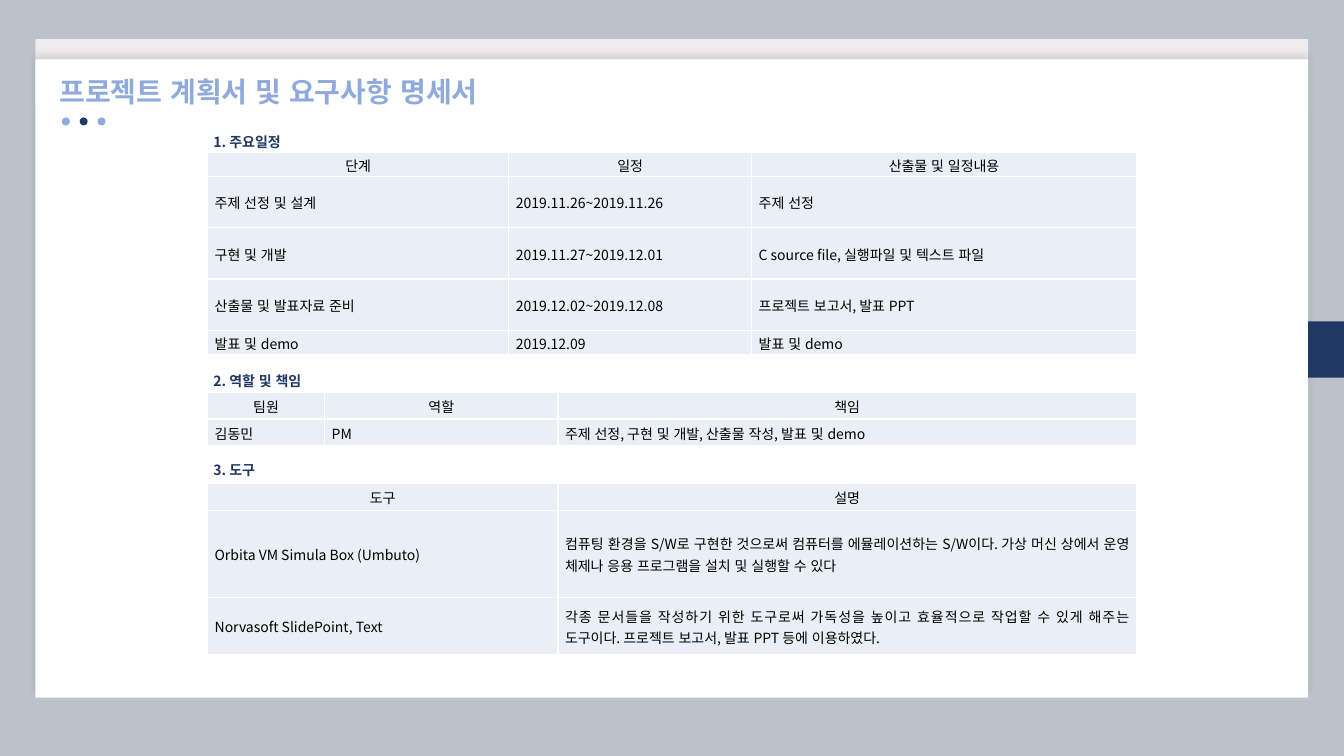
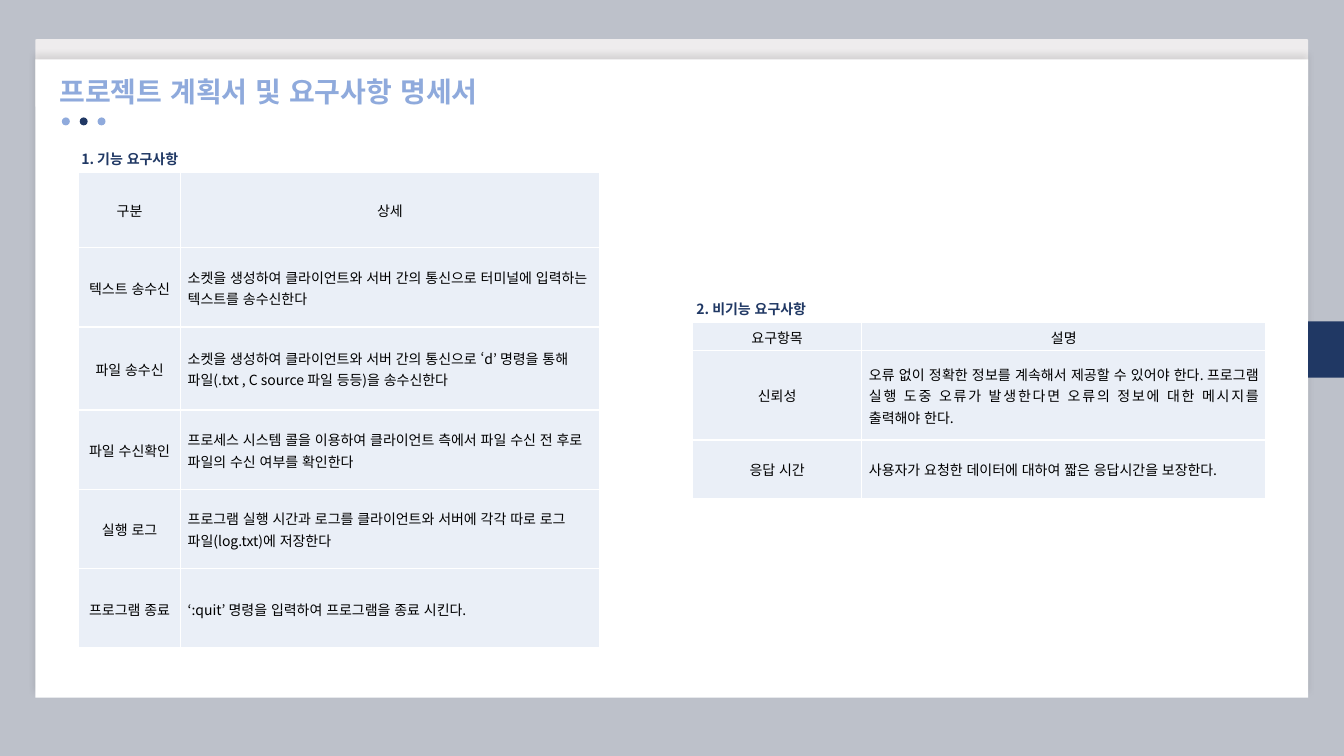
from dataclasses import dataclass

from lxml import etree
from pptx import Presentation
from pptx.dml.color import RGBColor
from pptx.enum.lang import MSO_LANGUAGE_ID
from pptx.enum.shapes import MSO_SHAPE
from pptx.enum.text import MSO_ANCHOR, MSO_AUTO_SIZE, PP_ALIGN
from pptx.oxml.ns import qn
from pptx.util import Cm, Pt

RECT, ROUND, OVAL = MSO_SHAPE.RECTANGLE, MSO_SHAPE.ROUNDED_RECTANGLE, MSO_SHAPE.OVAL
LEFT, MID, JUST = PP_ALIGN.LEFT, PP_ALIGN.CENTER, PP_ALIGN.JUSTIFY
TOP, CENTER = MSO_ANCHOR.TOP, MSO_ANCHOR.MIDDLE
GROW = MSO_AUTO_SIZE.SHAPE_TO_FIT_TEXT
KOREAN = MSO_LANGUAGE_ID.KOREAN
TITLE_ONLY = 5


@dataclass(frozen=True)
class Theme:
    font: str = "Noto Sans CJK KR"
    back: str = "BDC1CA"
    band: str = "EEECED"
    sheet: str = "FFFFFF"
    navy: str = "203864"
    sky: str = "8FAADC"
    cell: str = "EAEFF7"
    ink: str = "000000"
    title: float = 20
    body: float = 10
    line: float = 1.07


THEME = Theme()
TITLE = "프로젝트 계획서 및 요구사항 명세서"


@dataclass(frozen=True)
class Part:
    """A captioned table; all lengths are in centimetres."""
    name: str
    spot: tuple[float, float, float]  # caption left, top, width
    left: float
    top: float
    cols: tuple[float, ...]
    rows: tuple[float, ...]
    align: tuple[PP_ALIGN, ...]  # body text, one per column
    cells: tuple[tuple[str, ...], ...]
    after: float = 0


# Content
PLAN = (
    Part("1. 주요일정", (5.13, 3.23, 2.36), 5.23, 3.83,
         (7.59, 6.12, 9.7), (0.62, 1.29, 1.29, 1.29, 0.61), (JUST,) * 3,
         (("단계", "일정", "산출물 및 일정내용"),
          ("주제 선정 및 설계", "2019.11.26~2019.11.26", "주제 선정"),
          ("구현 및 개발", "2019.11.27~2019.12.01",
           "C source file, 실행파일 및 텍스트 파일"),
          ("산출물 및 발표자료 준비", "2019.12.02~2019.12.08",
           "프로젝트 보고서, 발표 PPT"),
          ("발표 및 demo", "2019.12.09", "발표 및 demo"))),
    Part("2. 역할 및 책임", (5.13, 9.25, 2.97), 5.23, 9.89,
         (2.95, 5.88, 14.58), (0.67, 0.67), (LEFT,) * 3,
         (("팀원", "역할", "책임"),
          ("김동민", "PM", "주제 선정, 구현 및 개발, 산출물 작성, 발표 및 demo"))),
    Part("3. 도구", (5.13, 11.51, 1.65), 5.23, 12.19,
         (8.83, 14.58), (0.67, 2.2, 1.44), (JUST,) * 2,
         (("도구", "설명"),
          ("Orbita VM Simula Box (Umbuto)",
           "컴퓨팅 환경을 S/W로 구현한 것으로써 컴퓨터를 에뮬레이션하는 S/W이다. "
           "가상 머신 상에서 운영 체제나 응용 프로그램을 설치 및 실행할 수 있다"),
          ("Norvasoft SlidePoint, Text",
           "각종 문서들을 작성하기 위한 도구로써 가독성을 높이고 효율적으로 작업할 수 "
           "있게 해주는 도구이다. 프로젝트 보고서, 발표 PPT 등에 이용하였다.")),
         after=8),
)
NEEDS = (
    Part("1. 기능 요구사항", (1.8, 3.66, 3.2), 1.98, 4.34,
         (2.57, 10.55), (1.9, 2, 2.09, 2, 2, 2), (MID, LEFT),
         (("구분", "상세"),
          ("텍스트 송수신",
           "소켓을 생성하여 클라이언트와 서버 간의 통신으로 터미널에 입력하는 "
           "텍스트를 송수신한다"),
          ("파일 송수신",
           "소켓을 생성하여 클라이언트와 서버 간의 통신으로 ‘d’ 명령을 통해 "
           "파일(.txt , C source 파일 등등)을 송수신한다"),
          ("파일 수신확인",
           "프로세스 시스템 콜을 이용하여 클라이언트 측에서 파일 수신 전 후로 "
           "파일의 수신 여부를 확인한다"),
          ("실행 로그",
           "프로그램 실행 시간과 로그를 클라이언트와 서버에 각각 따로 로그 "
           "파일(log.txt)에 저장한다"),
          ("프로그램 종료", "‘:quit’ 명령을 입력하여 프로그램을 종료 시킨다."))),
    Part("2. 비기능 요구사항", (17.3, 7.44, 3.56), 17.45, 8.12,
         (4.27, 10.18), (0.71, 2.26, 1.47), (MID, JUST),
         (("요구항목", "설명"),
          ("신뢰성",
           "오류 없이 정확한 정보를 계속해서 제공할 수 있어야 한다. 프로그램 실행 도중 "
           "오류가 발생한다면 오류의 정보에 대한 메시지를 출력해야 한다."),
          ("응답 시간", "사용자가 요청한 데이터에 대하여 짧은 응답시간을 보장한다."))),
)


# Drawing tools
def write(frame, text: str, *, size: float = THEME.body, color: str = THEME.ink,
          bold: bool = False, align: PP_ALIGN = LEFT, line: float = 1,
          after: float = 0) -> None:
    para = frame.paragraphs[0]
    para.alignment = align
    para.line_spacing = line
    para.space_before, para.space_after = Pt(0), Pt(after)
    run = para.add_run()
    run.text = text
    font = run.font
    font.size, font.bold, font.name = Pt(size), bold, THEME.font
    font.color.rgb = RGBColor.from_string(color)
    font.language_id = KOREAN
    etree.SubElement(run._r.get_or_add_rPr(), qn("a:ea"), typeface=THEME.font)


def label(box, text: str, **form) -> None:
    """Fill a one-line box that grows with its text."""
    frame = box.text_frame
    frame.word_wrap, frame.auto_size = False, GROW
    frame.vertical_anchor = TOP
    write(frame, text, **form)


def block(slide, kind: MSO_SHAPE, left: float, top: float, width: float,
          height: float, color: str):
    shape = slide.shapes.add_shape(kind, Cm(left), Cm(top), Cm(width), Cm(height))
    shape.shadow.inherit = False
    shape.fill.solid()
    shape.fill.fore_color.rgb = RGBColor.from_string(color)
    shape.line.fill.background()
    return shape


def shade(shape) -> None:
    """Cast a faint shadow upwards."""
    effect = shape.element.spPr.find(qn("a:effectLst"))
    outer = etree.SubElement(effect, qn("a:outerShdw"), blurRad=str(Pt(4)),
                             dist=str(Pt(3)), dir="16200000", rotWithShape="0")
    tint = etree.SubElement(outer, qn("a:srgbClr"), val=THEME.ink)
    etree.SubElement(tint, qn("a:alpha"), val="10000")


def edge(cell) -> None:
    props = cell._tc.get_or_add_tcPr()
    for side in ("lnL", "lnR", "lnT", "lnB"):
        line = etree.SubElement(props, qn(f"a:{side}"), w=str(Pt(1)))
        fill = etree.SubElement(line, qn("a:solidFill"))
        etree.SubElement(fill, qn("a:srgbClr"), val=THEME.sheet)


def grid(slide, part: Part) -> None:
    left, top, width = part.spot
    box = slide.shapes.add_textbox(Cm(left), Cm(top), Cm(width), Cm(0.69))
    label(box, part.name, color=THEME.navy, bold=True)

    table = slide.shapes.add_table(
        len(part.rows), len(part.cols), Cm(part.left), Cm(part.top),
        Cm(sum(part.cols)), Cm(sum(part.rows))).table
    table.first_row = table.horz_banding = False
    for col, size in zip(table.columns, part.cols):
        col.width = Cm(size)
    for row, size in zip(table.rows, part.rows):
        row.height = Cm(size)
    for r, texts in enumerate(part.cells):
        for c, text in enumerate(texts):
            cell = table.cell(r, c)
            edge(cell)
            cell.fill.solid()
            cell.fill.fore_color.rgb = RGBColor.from_string(THEME.cell)
            cell.margin_left = cell.margin_right = Cm(0.18)
            cell.margin_top = cell.margin_bottom = 0
            cell.vertical_anchor = CENTER
            write(cell.text_frame, text, align=part.align[c] if r else MID,
                  line=THEME.line, after=part.after)


# Shared frame
def dress(layout, slide) -> None:
    """Draw the paper on a slide, then hand it to the layout."""
    band = block(slide, ROUND, 0.89, 0.99, 32.08, 1.7, THEME.band)
    band.adjustments[0] = 0.015
    sheet = block(slide, RECT, 0.89, 1.5, 32.08, 16.08, THEME.sheet)
    shade(sheet)
    for i, shape in enumerate((band, sheet)):
        shape.element.nvSpPr.cNvPr.set("id", str(101 + i))
        layout.element.cSld.spTree.insert(2 + i, shape.element)


def head(slide) -> None:
    title = slide.shapes.title
    title.left, title.top = Cm(1.24), Cm(1.75)
    title.width, title.height = Cm(12.19), Cm(1.12)
    label(title, TITLE, size=THEME.title, color=THEME.sky, bold=True)
    for i, color in enumerate((THEME.sky, THEME.navy, THEME.sky)):
        block(slide, OVAL, 1.56 + 0.45 * i, 2.96, 0.2, 0.2, color)
    block(slide, RECT, 32.97, 8.1, 0.9, 1.42, THEME.navy)


# Slides
def main() -> None:
    deck = Presentation()
    deck.slide_width, deck.slide_height = Cm(33.87), Cm(19.05)
    back = deck.slide_master.background.fill
    back.solid()
    back.fore_color.rgb = RGBColor.from_string(THEME.back)
    layout = deck.slide_layouts[TITLE_ONLY]
    for i, parts in enumerate((PLAN, NEEDS)):
        slide = deck.slides.add_slide(layout)
        if i == 0:
            dress(layout, slide)
        head(slide)
        for part in parts:
            grid(slide, part)
    deck.save("out.pptx")


main()
